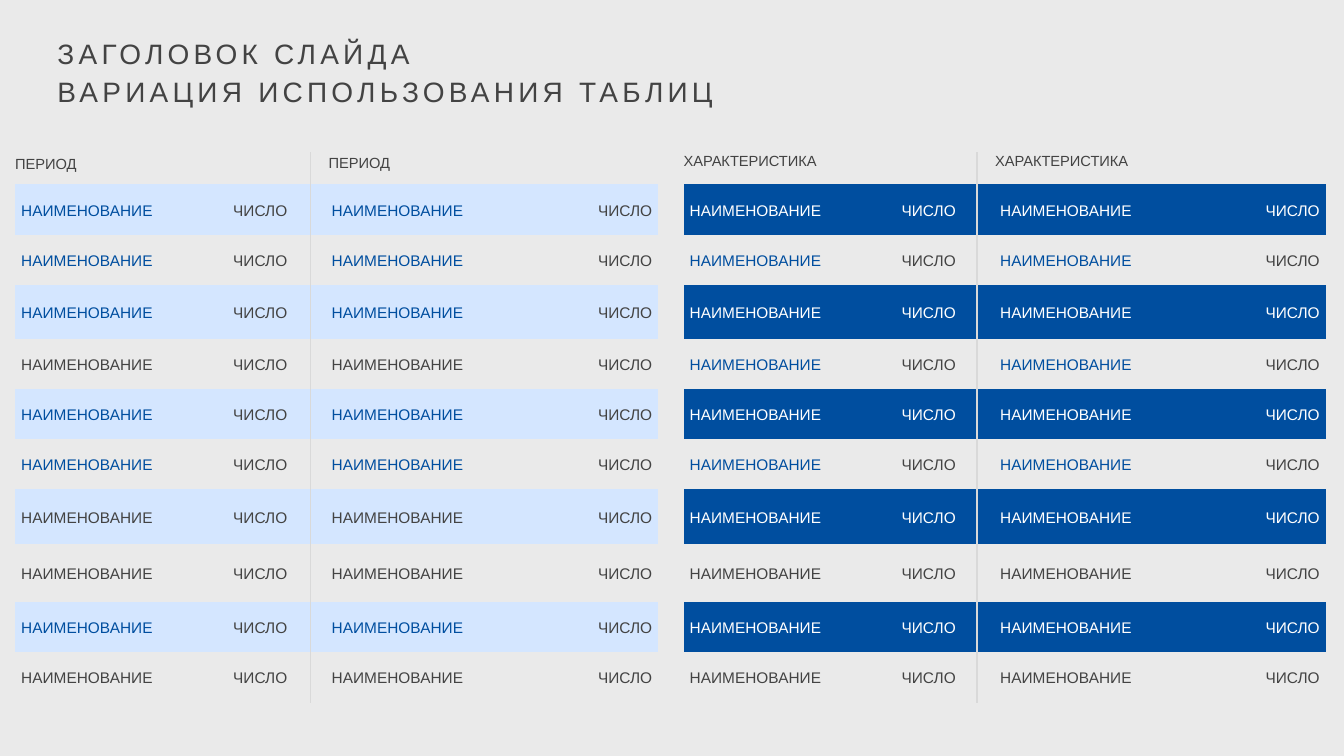
from pptx import Presentation
from pptx.dml.color import RGBColor
from pptx.enum.shapes import MSO_CONNECTOR
from pptx.enum.text import MSO_ANCHOR, MSO_AUTO_SIZE, PP_ALIGN
from pptx.oxml.ns import qn
from pptx.util import Inches, Pt
from lxml import etree

LEFT, RIGHT = PP_ALIGN.LEFT, PP_ALIGN.RIGHT
TOP, MIDDLE = MSO_ANCHOR.TOP, MSO_ANCHOR.MIDDLE
NO_FIT = MSO_AUTO_SIZE.NONE
STRAIGHT = MSO_CONNECTOR.STRAIGHT
PLAIN = "{2D5ABB26-0587-4C30-8999-92F81FD0307C}"

HEX = {"back": "EAEAEA", "dark": "434343", "blue": "004E9F",
       "pale": "D4E6FF", "white": "FFFFFF", "rule": "D9D9D9"}

NAME, COUNT = "НАИМЕНОВАНИЕ", "ЧИСЛО"
LABELS = [NAME, COUNT, "", NAME, COUNT]
ROWS = 10
TALL = {2: 0.54, 6: 0.54, 7: 0.58}


def color(key):
    return RGBColor.from_string(HEX[key])


def write(frame, text, size=11, ink="dark", align=LEFT, line=1.15, track=0):
    for i, part in enumerate(text.split("\n")):
        para = frame.add_paragraph() if i else frame.paragraphs[0]
        para.alignment = align
        para.line_spacing = line
        run = para.add_run()
        run.text = part
        run.font.name = "Arial"
        run.font.size = Pt(size)
        run.font.color.rgb = color(ink)
        if track:
            run.font._element.set("spc", str(track * 100))


def clear(frame):
    frame.margin_left = frame.margin_right = 0
    frame.margin_top = frame.margin_bottom = 0
    frame.word_wrap = True
    frame.auto_size = NO_FIT
    frame.vertical_anchor = TOP


def heading(slide, x, y, w, h):
    title = slide.shapes.title
    title.left, title.top = Inches(x), Inches(y)
    title.width, title.height = Inches(w), Inches(h)
    clear(title.text_frame)
    write(title.text_frame, "ЗАГОЛОВОК СЛАЙДА\nВАРИАЦИЯ ИСПОЛЬЗОВАНИЯ ТАБЛИЦ",
          size=20, track=3)


def caption(slide, text, x, y, w, h):
    box = slide.shapes.add_textbox(Inches(x), Inches(y), Inches(w), Inches(h))
    clear(box.text_frame)
    write(box.text_frame, text, size=10.5, line=1)


def fill_cell(cell, text, number, fill, ink):
    if fill:
        cell.fill.solid()
        cell.fill.fore_color.rgb = color(fill)
    else:
        cell.fill.background()
    cell.vertical_anchor = MIDDLE
    cell.margin_left = Inches(0.03 if number else 0.06)
    cell.margin_right = Inches(0.06 if number else 0.03)
    cell.margin_top = cell.margin_bottom = Inches(0.04)
    if text:
        write(cell.text_frame, text, ink=ink, align=RIGHT if number else LEFT)


def grid(slide, x, y, w, h, widths, fills, names, counts):
    frame = slide.shapes.add_table(ROWS, len(widths), Inches(x), Inches(y),
                                   Inches(w), Inches(h))
    table = frame.table
    table.first_row = table.horz_banding = False
    table._tbl.tblPr.find(qn("a:tableStyleId")).text = PLAIN
    for col, width in zip(table.columns, widths):
        col.width = Inches(width)
    base = (h - sum(TALL.values())) / (ROWS - len(TALL))
    for r, row in enumerate(table.rows):
        row.height = Inches(TALL.get(r, base))
        for label, cell in zip(LABELS, row.cells):
            number = label == COUNT
            ink = counts[r % 2] if number else names[r]
            fill_cell(cell, label, number, fills[r % 2], ink)


def panel(slide, x, y, w, h, head, tops, size, split, **style):
    top = 0.32
    grid(slide, x, y + top, w, h - top, **style)
    rule = slide.shapes.add_connector(STRAIGHT, Inches(x + split), Inches(y + h),
                                      Inches(x + split), Inches(y))
    rule.line.color.rgb = color("rule")
    rule.line.width = Pt(1.25)
    etree.SubElement(rule._element.spPr, qn("a:effectLst"))
    for dx, dy in zip((0, split + 0.18), tops):
        caption(slide, head, x + dx, y + dy, *size)


def main():
    deck = Presentation()
    deck.slide_width, deck.slide_height = Inches(13.33), Inches(7.5)
    slide = deck.slides.add_slide(deck.slide_layouts[5])
    slide.background.fill.solid()
    slide.background.fill.fore_color.rgb = color("back")
    heading(slide, 0.57, 0.31, 8.93, 0.77)
    panel(slide, 0.15, 1.51, 6.37, 5.46, "ПЕРИОД", (0.03, 0.02), (1.04, 0.19), 2.93,
          widths=[1.9, 0.86, 0.32, 2.06, 1.24], fills=("pale", None),
          names=["dark" if r in (3, 6, 7, 9) else "blue" for r in range(ROWS)],
          counts=("dark", "dark"))
    panel(slide, 6.78, 1.51, 6.37, 5.46, "ХАРАКТЕРИСТИКА", (0, 0), (1.73, 0.22), 2.91,
          widths=[1.9, 0.86, 0.32, 1.7, 1.59], fills=("blue", "back"),
          names=["white", "blue"] * 3 + ["white", "dark"] * 2,
          counts=("white", "dark"))
    deck.save("out.pptx")


if __name__ == "__main__":
    main()
